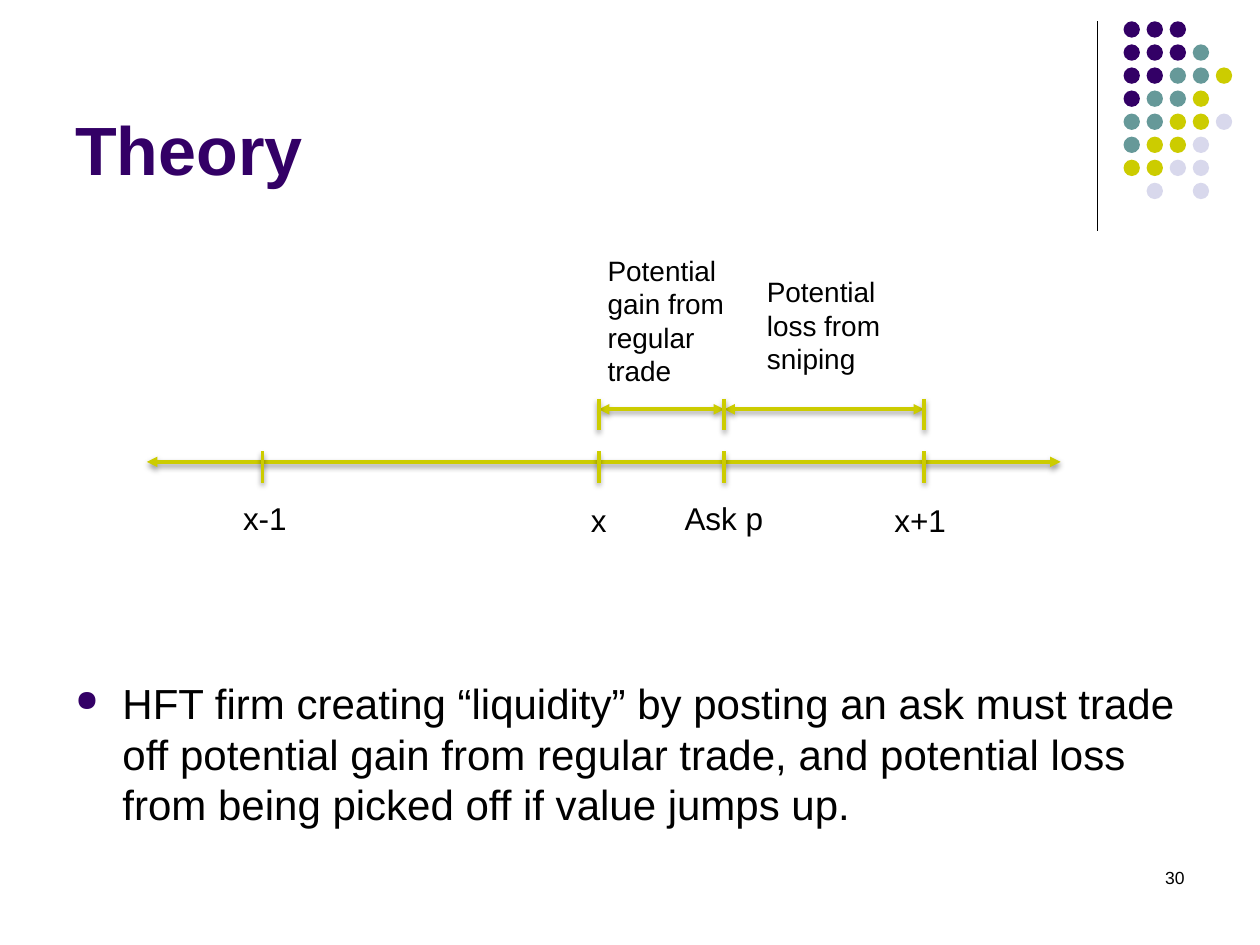
from lxml import etree
from pptx import Presentation
from pptx import util as u
from pptx.dml.color import RGBColor
from pptx.enum import shapes, text
from pptx.oxml import parse_xml
from pptx.oxml.ns import qn

DRAWING_NS = "http://schemas.openxmlformats.org/drawingml/2006/main"
PURPLE, TEAL, OLIVE, LILAC, BLACK = "330066", "669999", "CCCC00", "D8D8EC", "000000"

DOT_COLOURS = {"P": PURPLE, "T": TEAL, "O": OLIVE, "L": LILAC}
DOT_ROWS = ["PPP", "PPPT", "PPTTO", "PTTO", "TTOOL", "TOOL", "OOLL", " L L"]
DOT_LEFT, DOT_TOP, DOT_PITCH, DOT_SIZE = 22.65, 0.43, 0.465, 0.33

TITLE = "Theory"
BULLET = ("HFT firm creating “liquidity” by posting an ask must trade off potential "
          "gain from regular trade, and potential loss from being picked off if value jumps up.")
PAGE_NUMBER = "30"

# Price label: (tick x, label left, label top, label width)
PRICES = {
    "x-1": (5.29, 4.65, 9.94, 1.4),
    "x": (12.07, 11.66, 9.97, 0.84),
    "Ask p": (14.6, 13.55, 9.93, 2.11),
    "x+1": (18.63, 17.78, 9.97, 1.57),
}
# Interval note: (from price, to price, left, top, width, height)
INTERVALS = {
    "Potential gain from regular trade": ("x", "Ask p", 12, 4.98, 3.02, 3),
    "Potential loss from sniping": ("Ask p", "x+1", 15.21, 5.41, 2.82, 2.31),
}
AXIS_LEFT, AXIS_RIGHT, AXIS_Y = 2.96, 21.38, 9.31
INTERVAL_Y = 8.25
TICK_RISE, TICK_DROP = 0.21, 0.42


def colour(value):
    return RGBColor.from_string(value)


def add_line(page, x1, y1, x2, y2, line_colour=OLIVE, width=2, arrows=False, shadow=True):
    line = page.shapes.add_connector(
        shapes.MSO_CONNECTOR.STRAIGHT, u.Cm(x1), u.Cm(y1), u.Cm(x2), u.Cm(y2))
    line.line.color.rgb = colour(line_colour)
    line.line.width = u.Pt(width)
    if arrows:
        outline = line.line._get_or_add_ln()
        for end in ("a:headEnd", "a:tailEnd"):
            etree.SubElement(outline, qn(end), type="triangle")
    effects = etree.SubElement(line._element.spPr, qn("a:effectLst"))
    if shadow:
        effects.append(parse_xml(
            f'<a:outerShdw xmlns:a="{DRAWING_NS}" blurRad="{u.Pt(3.1)}" dist="{u.Pt(1.6)}" '
            f'dir="5400000" rotWithShape="0"><a:srgbClr val="{BLACK}">'
            '<a:alpha val="38000"/></a:srgbClr></a:outerShdw>'))


def add_tick(page, x, y):
    add_line(page, x, y - TICK_RISE, x, y + TICK_DROP)


def add_bullet(para):
    properties = para._p.get_or_add_pPr()
    properties.set("marL", str(u.Cm(0.95)))
    properties.set("indent", str(u.Cm(-0.95)))
    bullet_colour = etree.SubElement(properties, qn("a:buClr"))
    etree.SubElement(bullet_colour, qn("a:srgbClr"), val=PURPLE)
    etree.SubElement(properties, qn("a:buSzPct"), val="70000")
    etree.SubElement(properties, qn("a:buChar"), char="●")


def add_text(page, words, left, top, width, height, size, font_colour=BLACK, bold=False,
             wrap=True, anchor=text.MSO_ANCHOR.TOP, align=text.PP_ALIGN.LEFT, bullet=False):
    box = page.shapes.add_textbox(u.Cm(left), u.Cm(top), u.Cm(width), u.Cm(height))
    frame = box.text_frame
    frame.text = words
    frame.word_wrap = wrap
    frame.vertical_anchor = anchor
    para = frame.paragraphs[0]
    para.alignment = align
    if bullet:
        add_bullet(para)
    font = para.runs[0].font
    font.name, font.size, font.bold = "Arial", u.Pt(size), bold
    font.color.rgb = colour(font_colour)


def add_dots(page):
    for row, codes in enumerate(DOT_ROWS):
        for column, code in enumerate(codes):
            if code == " ":
                continue
            dot = page.shapes.add_shape(
                shapes.MSO_SHAPE.OVAL,
                u.Cm(DOT_LEFT + column * DOT_PITCH), u.Cm(DOT_TOP + row * DOT_PITCH),
                u.Cm(DOT_SIZE), u.Cm(DOT_SIZE))
            dot.shadow.inherit = False
            dot.fill.solid()
            dot.fill.fore_color.rgb = colour(DOT_COLOURS[code])
            dot.line.fill.background()


def add_price_axis(page):
    add_line(page, AXIS_LEFT, AXIS_Y, AXIS_RIGHT, AXIS_Y, arrows=True)
    for label, (x, left, top, width) in PRICES.items():
        add_tick(page, x, AXIS_Y)
        add_text(page, label, left, top, width, 1.02, 18, wrap=False)


def add_intervals(page):
    ends = set()
    for note, (start, end, *place) in INTERVALS.items():
        add_line(page, PRICES[start][0], INTERVAL_Y, PRICES[end][0], INTERVAL_Y, arrows=True)
        add_text(page, note, *place, 16)
        ends.update((start, end))
    for price in sorted(ends):
        add_tick(page, PRICES[price][0], INTERVAL_Y)


def main():
    deck = Presentation()
    deck.slide_width, deck.slide_height = u.Cm(25.4), u.Cm(19.05)
    page = deck.slides.add_slide(deck.slide_layouts[6])
    add_line(page, 22.12, 0.43, 22.12, 4.65, BLACK, 0.75, shadow=False)
    add_dots(page)
    add_text(page, TITLE, 1.27, 0.33, 20.96, 3.6, 39, PURPLE, bold=True,
             anchor=text.MSO_ANCHOR.BOTTOM)
    add_text(page, BULLET, 1.27, 13.54, 22.86, 2.21, 24, bullet=True)
    add_text(page, PAGE_NUMBER, 18.21, 17.35, 5.92, 1.27, 10, align=text.PP_ALIGN.RIGHT)
    add_price_axis(page)
    add_intervals(page)
    deck.save("out.pptx")


if __name__ == "__main__":
    main()
